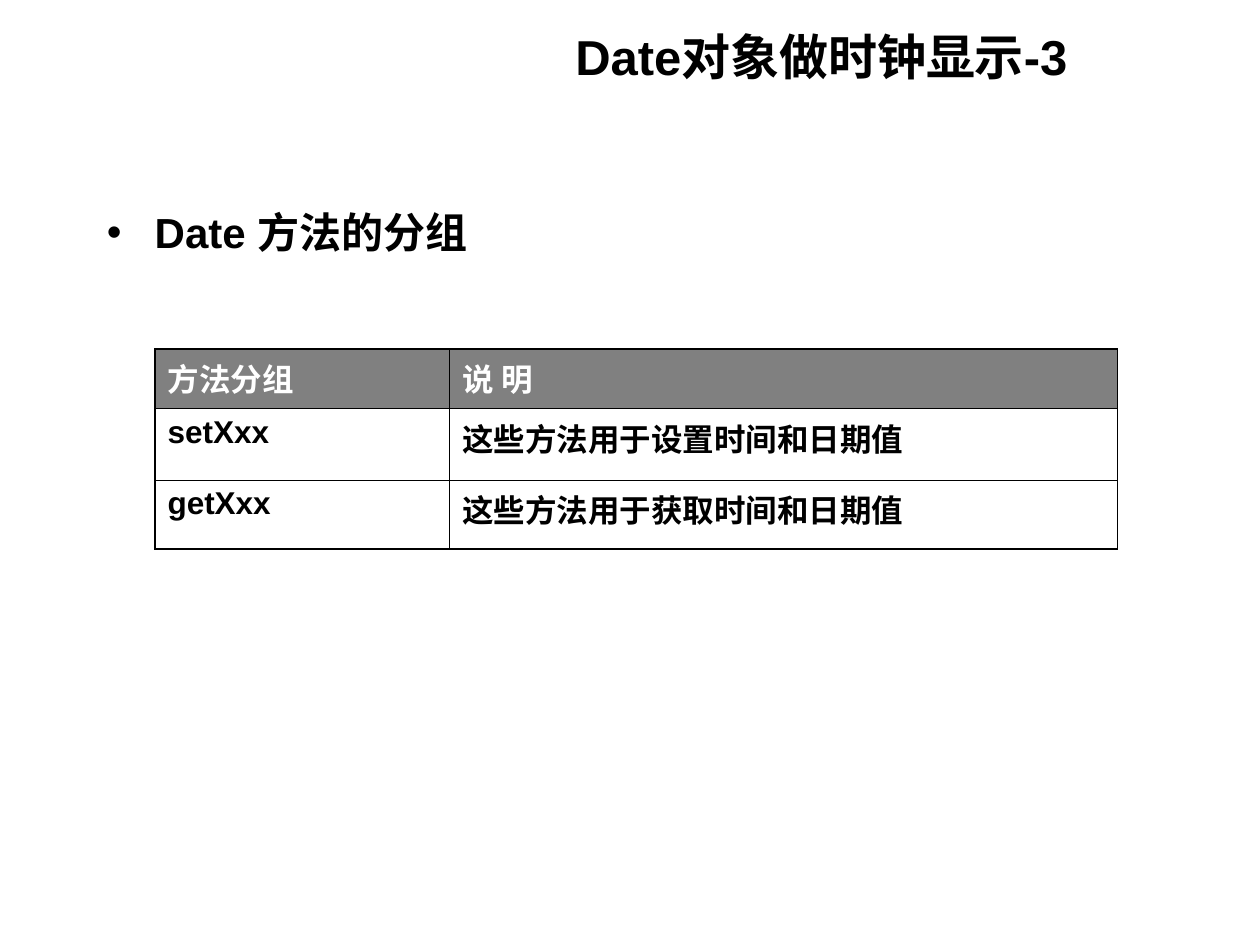
import pptx
import pptx.dml.color
import pptx.enum.text
import pptx.oxml
import pptx.oxml.ns
import pptx.util

WIDE, HIGH = 10, 7.5
INKS = {"text": "000000", "head": "FFFFFF", "band": "808080", "cell": "FFFFFF"}
LATIN, HAN = "Arial", "Noto Sans CJK SC"
COLS, ROWS = (2.34, 5.3), (0.47, 0.57, 0.55)
THICK, THIN = 1.08, 0.45
GROUPS = [
    ("方法分组", "说 明"),
    ("setXxx", "这些方法用于设置时间和日期值"),
    ("getXxx ", "这些方法用于获取时间和日期值"),
]
ALIGN = pptx.enum.text.PP_ALIGN
Inches, Pt = pptx.util.Inches, pptx.util.Pt


def ink(name):
    return pptx.dml.color.RGBColor.from_string(INKS[name])


def node(xml):
    return pptx.oxml.parse_xml(xml.replace(" ", f" {pptx.oxml.ns.nsdecls('a')} ", 1))


def scale(box):
    """Turn shares of the slide into lengths."""
    return [Inches(part * size) for part, size in zip(box, (WIDE, HIGH) * 2)]


def write(para, text, size, color="text", face=LATIN):
    run = para.add_run()
    run.text = text
    font = run.font
    font.size, font.bold = Pt(size), True
    font.color.rgb = ink(color)
    font.name = face
    font._element.append(node(f'<a:ea typeface="{HAN}"/>'))


def frame(slide, box):
    text = slide.shapes.add_textbox(*scale(box)).text_frame
    text.word_wrap = True
    return text


def title(slide, box):
    text = frame(slide, box)
    text.vertical_anchor = pptx.enum.text.MSO_ANCHOR.MIDDLE
    para = text.paragraphs[0]
    para.alignment = ALIGN.RIGHT
    write(para, "Date对象做时钟显示-3", 28)


def point(slide, box):
    para = frame(slide, box).paragraphs[0]
    para.space_before = Pt(6)
    props = para._p.get_or_add_pPr()
    props.set("marL", str(Inches(0.38)))
    props.set("indent", str(-Inches(0.38)))
    props.append(node('<a:buFont typeface="Arial"/>'))
    props.append(node('<a:buChar char="•"/>'))
    write(para, "Date 方法的分组", 24)


def border(cell, row, col):
    """Draw thick outer edges and thin inner ones."""
    outer = {"L": col == 0, "R": col == len(COLS) - 1,
             "T": row == 0, "B": row == len(ROWS) - 1}
    props = cell._tc.get_or_add_tcPr()
    for side, edge in outer.items():
        width = Pt(THICK if edge else THIN)
        props.append(node(
            f'<a:ln{side} w="{width}"><a:solidFill><a:srgbClr val="{INKS["text"]}"/>'
            f'</a:solidFill></a:ln{side}>'))


def table(slide, box):
    grid = slide.shapes.add_table(len(ROWS), len(COLS), *scale(box)).table
    for col, share in zip(grid.columns, COLS):
        col.width = Inches(box[2] * WIDE * share / sum(COLS))
    for row, share in zip(grid.rows, ROWS):
        row.height = Inches(box[3] * HIGH * share / sum(ROWS))
    for r, words in enumerate(GROUPS):
        for c, word in enumerate(words):
            cell = grid.cell(r, c)
            border(cell, r, c)
            cell.fill.solid()
            cell.fill.fore_color.rgb = ink("cell" if r else "band")
            para = cell.text_frame.paragraphs[0]
            if r:
                para.alignment = ALIGN.JUSTIFY
                write(para, word, 18)
            else:
                para.space_before = Pt(4.5)
                write(para, word, 18, "head", HAN)


def main():
    deck = pptx.Presentation()
    deck.slide_width, deck.slide_height = Inches(WIDE), Inches(HIGH)
    slide = deck.slides.add_slide(deck.slide_layouts[6])
    title(slide, (-0.043, 0.01 / HIGH, 0.9, 0.87 / HIGH))
    point(slide, (0.075, 1.59 / HIGH, 0.85, 0.66 / HIGH))
    table(slide, (0.123, 2.77 / HIGH, sum(COLS) / WIDE, sum(ROWS) / HIGH))
    deck.save("out.pptx")


if __name__ == "__main__":
    main()
